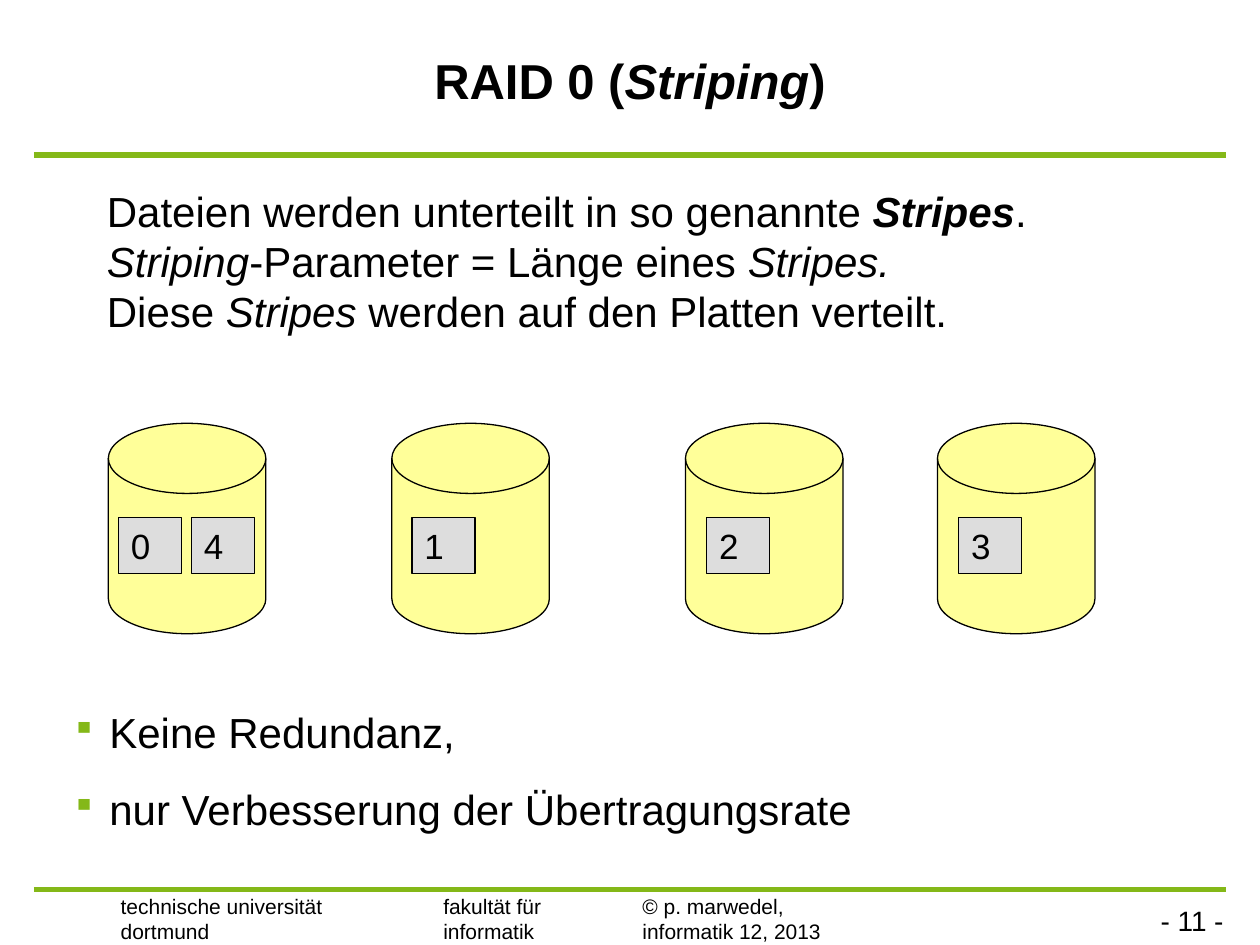
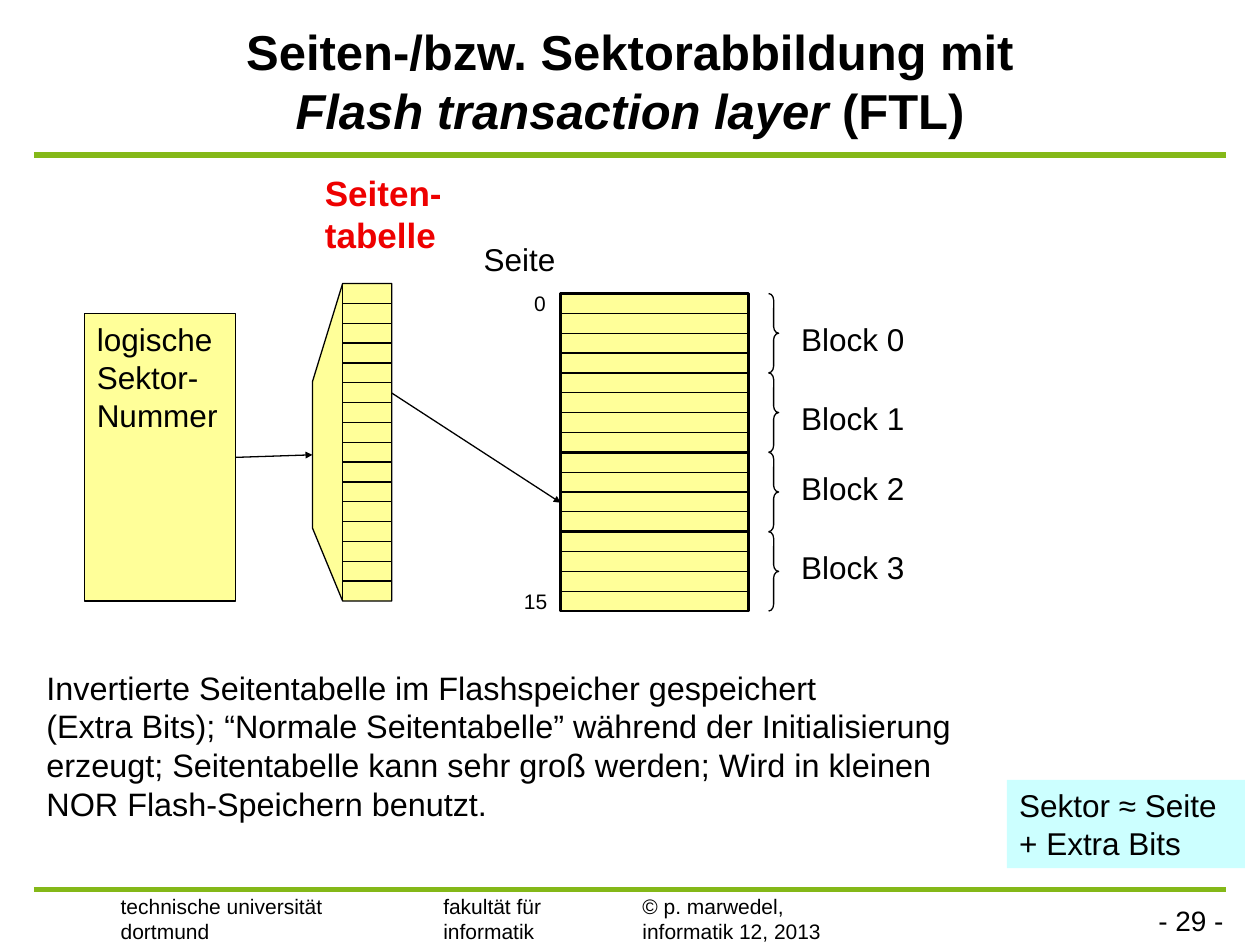
"""Builds two lecture slides: RAID 0 striping and page mapping with a flash transaction layer."""
import pptx
import pptx.dml.color
import pptx.enum.shapes
import pptx.enum.text
import pptx.oxml.ns
import pptx.util
from lxml import etree

Inches, Pt = pptx.util.Inches, pptx.util.Pt
RGBColor = pptx.dml.color.RGBColor
Shape = pptx.enum.shapes.MSO_SHAPE
Align = pptx.enum.text.PP_ALIGN
Anchor = pptx.enum.text.MSO_ANCHOR
qn = pptx.oxml.ns.qn

BLACK = RGBColor(0x00, 0x00, 0x00)
GREEN = RGBColor(0x84, 0xB8, 0x18)
YELLOW = RGBColor(0xFF, 0xFF, 0x99)
GRAY = RGBColor(0xDD, 0xDD, 0xDD)
CYAN = RGBColor(0xCC, 0xFF, 0xFF)
RED = RGBColor(0xEE, 0x00, 0x00)
FONT = "Arial"

FOOTERS = [
    ((0.86, 7.04, 2, 0.5), ["technische universität", "dortmund"]),
    ((3.42, 7.04, 1.6, 0.5), ["fakultät für informatik"]),
    ((5, 7.04, 2.99, 0.5), ["© p. marwedel,\ninformatik 12, 2013"]),
]
BAND_TOPS = [1.23, 7.06]

RAID_TITLE = [("RAID 0 (", ""), ("Striping", "i"), (")", "")]
RAID_INTRO = [
    [("Dateien werden unterteilt in so genannte ", ""), ("Stripes", "bi"), (".", "")],
    [("Striping", "i"), ("-Parameter = Länge eines ", ""), ("Stripes.", "i")],
    [("Diese ", ""), ("Stripes", "i"), (" werden auf den Platten verteilt.", "")],
]
RAID_POINTS = ["Keine Redundanz,", "nur Verbesserung der Übertragungsrate"]
DISK_LEFTS = [0.86, 3.11, 5.44, 7.44]
STRIPES = [("0", 0.94), ("1", 3.27), ("2", 5.61), ("3", 7.61), ("4", 1.52)]

FTL_TITLE = [("Seiten-/bzw. Sektorabbildung mit\n", ""),
             ("Flash transaction layer", "i"), (" (FTL)", "")]
FTL_SUMMARY = ("Invertierte Seitentabelle im Flashspeicher gespeichert\n"
               "(Extra Bits); “Normale Seitentabelle” während der Initialisierung erzeugt; "
               "Seitentabelle kann sehr groß werden; Wird in kleinen NOR Flash-Speichern benutzt.")
BLOCKS = [("Block 0", 2.49), ("Block 1", 3.12), ("Block 2", 3.67), ("Block 3", 4.3)]
PAGE_LABELS = [("Seite", 18, (3.74, 1.86, 0.9, 0.4)),
               ("0", 12, (4.14, 2.26, 0.4, 0.3)),
               ("15", 12, (4.06, 4.62, 0.5, 0.3))]
PAGE_COUNT, PAGES_PER_BLOCK = 16, 4
MEMORY_LEFT, MEMORY_TOP, MEMORY_WIDTH, MEMORY_HEIGHT = 4.45, 2.33, 1.49, 2.52
ROW = MEMORY_HEIGHT / PAGE_COUNT
TABLE_LEFT, TABLE_RIGHT, TABLE_TOP = 2.72, 3.11, 2.25
TABLE_BOTTOM = TABLE_TOP + MEMORY_HEIGHT
FUNNEL = [(2.48, 3.03), (TABLE_LEFT, TABLE_TOP), (TABLE_RIGHT, TABLE_TOP),
          (TABLE_RIGHT, TABLE_BOTTOM), (TABLE_LEFT, TABLE_BOTTOM), (2.48, 4.19)]
ARROWS = [((TABLE_RIGHT, 3.12), (MEMORY_LEFT, 3.99)), ((1.87, 3.63), (2.48, 3.61))]


def write(shape, paragraphs, size, color=BLACK, bold=None, align=Align.LEFT,
          anchor=Anchor.TOP, bulleted=False):
    frame = shape.text_frame
    frame.word_wrap = True
    frame.vertical_anchor = anchor
    for index, spans in enumerate(paragraphs):
        para = frame.add_paragraph() if index else frame.paragraphs[0]
        para.alignment = align
        if bulleted:
            add_bullet(para)
            para.space_before = Pt(15 if index else 0)
        para.font.name, para.font.size, para.font.bold = FONT, Pt(size), bold
        para.font.color.rgb = color
        for text, style in [(spans, "")] if isinstance(spans, str) else spans:
            for number, line in enumerate(text.split("\n")):
                if number:
                    para.add_line_break()
                if line:
                    span = para.add_run()
                    span.text = line
                    if "b" in style:
                        span.font.bold = True
                    if "i" in style:
                        span.font.italic = True


def add_bullet(para):
    properties = para._p.get_or_add_pPr()
    properties.set("marL", str(Inches(0.5)))
    properties.set("indent", str(Inches(-0.3)))
    color = etree.SubElement(properties, qn("a:buClr"))
    etree.SubElement(color, qn("a:srgbClr"), val=str(GREEN))
    etree.SubElement(properties, qn("a:buSzPct"), val="80000")
    etree.SubElement(properties, qn("a:buChar"), char="▪")


def add_text(page, place, paragraphs, size, **options):
    box = page.shapes.add_textbox(*map(Inches, place))
    write(box, paragraphs, size, **options)


def paint(shape, fill, width=0.75):
    shape.shadow.inherit = False
    if fill is None:
        shape.fill.background()
    else:
        shape.fill.solid()
        shape.fill.fore_color.rgb = fill
    if width:
        shape.line.color.rgb = BLACK
        shape.line.width = Pt(width)
    else:
        shape.line.fill.background()


def add_box(page, kind, place, fill=None, width=0.75):
    shape = page.shapes.add_shape(kind, *map(Inches, place))
    paint(shape, fill, width)
    return shape


def add_line(page, start, end, color=BLACK, width=0.75, arrow=False):
    line = page.shapes.add_connector(pptx.enum.shapes.MSO_CONNECTOR.STRAIGHT,
                                     *map(Inches, (*start, *end)))
    line.line.color.rgb = color
    line.line.width = Pt(width)
    if arrow:
        etree.SubElement(line.line._get_or_add_ln(), qn("a:tailEnd"),
                         type="triangle", w="sm", len="sm")
    etree.SubElement(line._element.spPr, qn("a:effectLst"))


def add_page(deck, title, number):
    page = deck.slides.add_slide(deck.slide_layouts[6])
    add_text(page, (8.58, 7.12, 1.23, 0.38), [f"- {number} -"], 16, align=Align.RIGHT)
    for top in BAND_TOPS:
        add_line(page, (0.27, top), (9.73, top), GREEN, 3)
    for place, paragraphs in FOOTERS:
        add_text(page, place, paragraphs, 12)
    add_text(page, (0, 0.08, 10, 1.11), [title], 28, bold=True,
             align=Align.CENTER, anchor=Anchor.MIDDLE)
    return page


def build_raid(deck):
    page = add_page(deck, RAID_TITLE, 11)
    add_text(page, (0.75, 1.42, 8.42, 1.3), RAID_INTRO, 24)
    for left in DISK_LEFTS:
        add_box(page, Shape.FLOWCHART_MAGNETIC_DISK, (left, 3.36, 1.25, 1.67), YELLOW)
    for label, left in STRIPES:
        stripe = add_box(page, Shape.RECTANGLE, (left, 4.11, 0.5, 0.44), GRAY)
        write(stripe, [label], 20)
    add_text(page, (0.27, 5.56, 8.43, 1.11), RAID_POINTS, 24, bulleted=True)


def add_memory(page):
    add_box(page, Shape.RECTANGLE,
            (MEMORY_LEFT, MEMORY_TOP, MEMORY_WIDTH, MEMORY_HEIGHT), YELLOW, 1.5)
    for row in range(1, PAGE_COUNT):
        top = MEMORY_TOP + row * ROW
        add_line(page, (MEMORY_LEFT, top), (MEMORY_LEFT + MEMORY_WIDTH, top),
                 width=0.75 if row % PAGES_PER_BLOCK else 1.5)
    block_height = ROW * PAGES_PER_BLOCK
    for index, (label, top) in enumerate(BLOCKS):
        brace = add_box(page, Shape.RIGHT_BRACE,
                        (6.1, MEMORY_TOP + index * block_height, 0.08, block_height))
        brace.adjustments[0] = 0.66
        add_text(page, (6.26, top, 1.2, 0.4), [label], 18)
    add_box(page, Shape.RECTANGLE, (MEMORY_LEFT, MEMORY_TOP + 5 * ROW, 1.5, ROW))


def add_page_table(page):
    points = [tuple(map(Inches, point)) for point in FUNNEL]
    builder = page.shapes.build_freeform(*points[0])
    builder.add_line_segments(points[1:], close=True)
    paint(builder.convert_to_shape(), YELLOW)
    add_line(page, (TABLE_LEFT, TABLE_TOP), (TABLE_LEFT, TABLE_BOTTOM))
    for row in range(1, PAGE_COUNT):
        top = TABLE_TOP + row * ROW
        add_line(page, (TABLE_LEFT, top), (TABLE_RIGHT, top))
    add_text(page, (2.48, 1.31, 1.18, 0.77), ["Seiten-tabelle"], 20, color=RED, bold=True)


def build_ftl(deck):
    page = add_page(deck, FTL_TITLE, 29)
    add_text(page, (0.27, 5.25, 7.72, 1.43), [FTL_SUMMARY], 18.5)
    add_memory(page)
    add_page_table(page)
    sector = add_box(page, Shape.RECTANGLE, (0.67, 2.49, 1.2, 2.28), YELLOW)
    write(sector, ["logische Sektor- Nummer"], 18)
    for start, end in ARROWS:
        add_line(page, start, end, arrow=True)
    for label, size, place in PAGE_LABELS:
        add_text(page, place, [label], size)
    note = add_box(page, Shape.RECTANGLE, (7.99, 6.19, 1.89, 0.7), CYAN, 0)
    write(note, ["Sektor ≈ Seite + Extra Bits"], 18)


def main():
    deck = pptx.Presentation()
    deck.slide_width, deck.slide_height = Inches(10), Inches(7.5)
    build_raid(deck)
    build_ftl(deck)
    deck.save("out.pptx")


if __name__ == "__main__":
    main()
